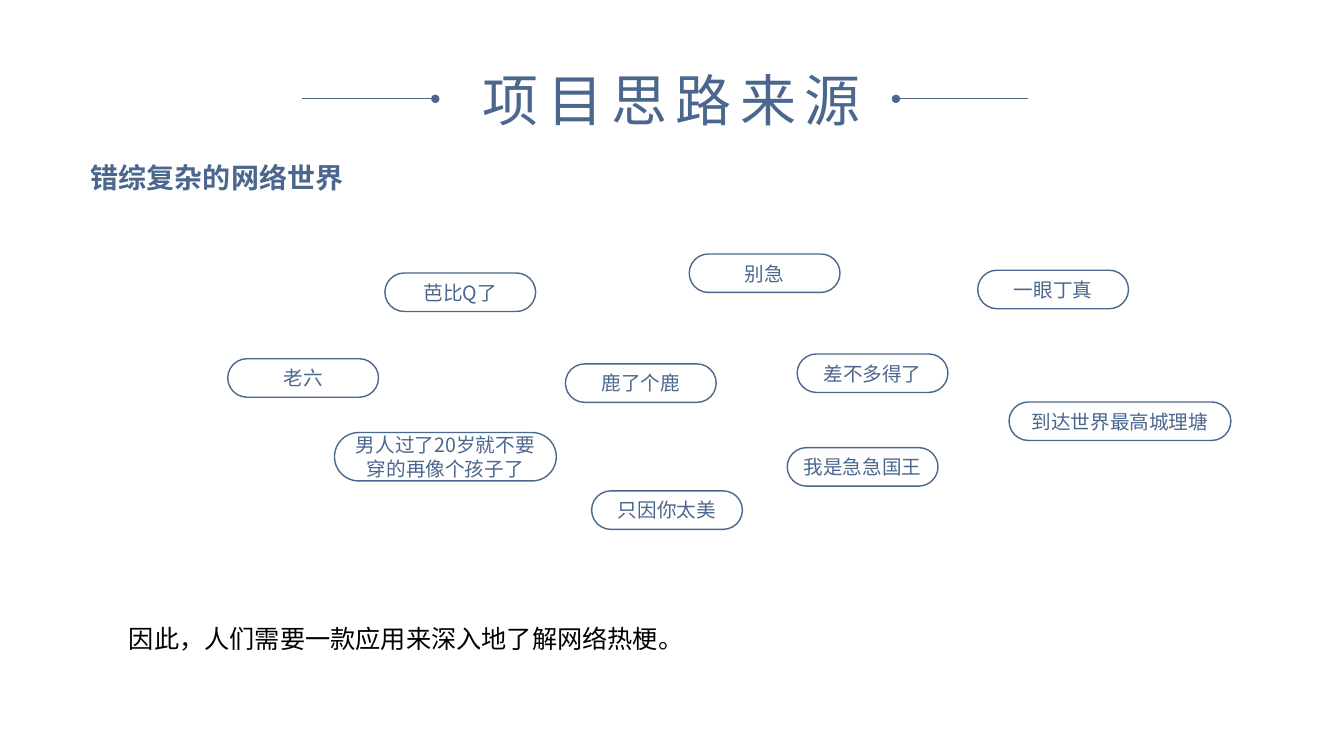
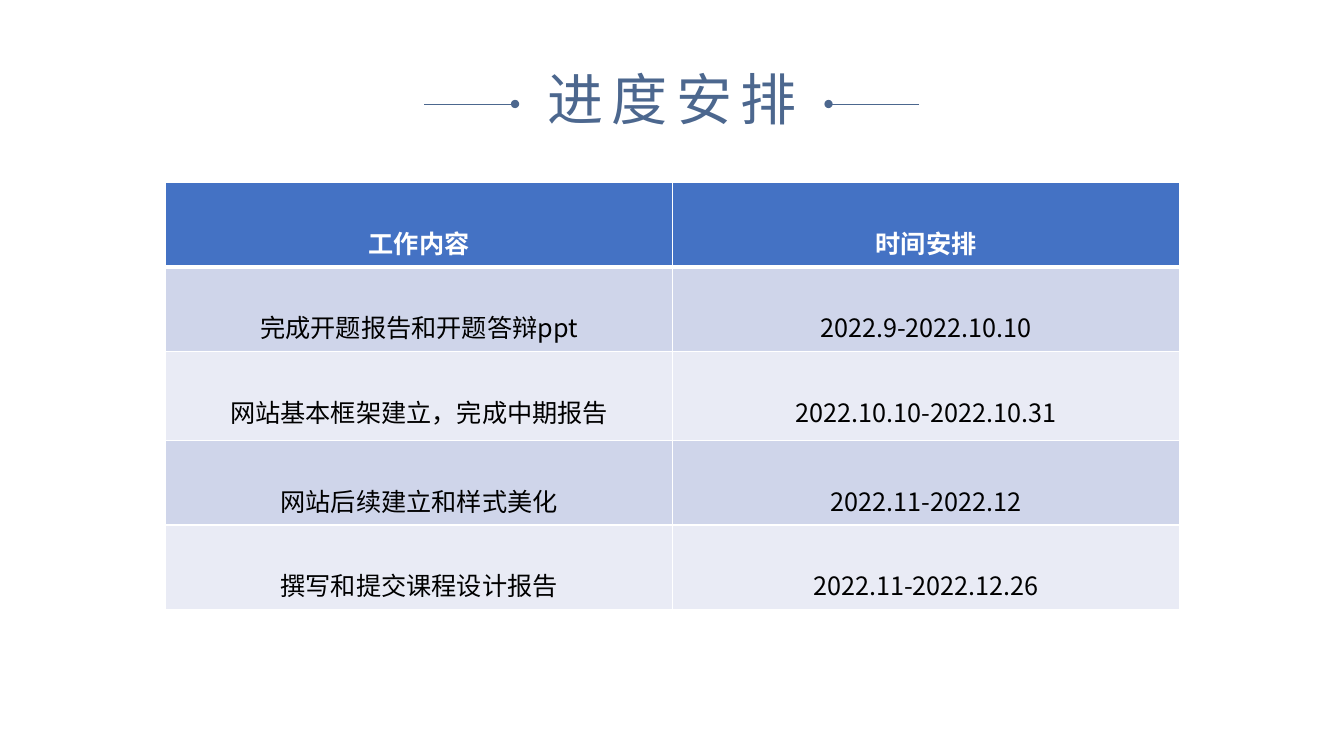
import dataclasses

import lxml.etree
import pptx
import pptx.dml.color
import pptx.enum.shapes
import pptx.enum.text
import pptx.oxml.ns
import pptx.util

Cm, Pt = pptx.util.Cm, pptx.util.Pt
Color = pptx.dml.color.RGBColor.from_string
Align, Anchor = pptx.enum.text.PP_ALIGN, pptx.enum.text.MSO_ANCHOR
qn = pptx.oxml.ns.qn


@dataclasses.dataclass(frozen=True)
class Theme:
    font: str = "Noto Sans CJK SC"
    accent: str = "4C678E"
    white: str = "FFFFFF"
    black: str = "000000"
    header: str = "4472C4"
    bands: tuple = ("CFD5EA", "E9EBF5")
    title_size: int = 40
    heading_size: int = 20
    body_size: int = 18
    pill_size: int = 14


theme = Theme()


def write(frame, text, size, color, align, bold=False, spacing=None, tracking=None):
    """Put one styled run in a text frame."""
    frame.word_wrap = True
    para = frame.paragraphs[0]
    para.alignment = align
    if spacing:
        para.line_spacing = spacing
    span = para.add_run()
    span.text = text
    span.font.size = Pt(size)
    span.font.bold = bold
    span.font.color.rgb = Color(color)
    span.font.name = theme.font
    properties = span.font._element
    lxml.etree.SubElement(properties, qn("a:ea"), typeface=theme.font)
    if tracking:
        properties.set("spc", str(tracking * 100))


def add_text(page, left, top, width, height, *style, inset=None, **options):
    """Add a text box that grows with its text."""
    box = page.shapes.add_textbox(Cm(left), Cm(top), Cm(width), Cm(height))
    frame = box.text_frame
    frame.auto_size = pptx.enum.text.MSO_AUTO_SIZE.SHAPE_TO_FIT_TEXT
    if inset is not None:
        frame.margin_left = frame.margin_right = Cm(inset)
        frame.margin_top = frame.margin_bottom = Cm(inset)
    write(frame, *style, **options)


deck = pptx.Presentation()
deck.slide_width, deck.slide_height = Cm(33.87), Cm(19.05)

# Titles, each between two rules that end in a dot
titles = [
    ("项目思路来源", (11.61, 1.52, 10.64, 1.96), 2.49, [(7.62, 10.97), (25.91, 22.58)]),
    ("进度安排", (13.11, 1.5, 7.65, 1.96), 2.62, [(10.69, 12.98), (23.16, 20.88)]),
]
pages = []
for title, place, rule_y, rules in titles:
    page = deck.slides.add_slide(deck.slide_layouts[6])
    pages.append(page)
    add_text(page, *place, title, theme.title_size, theme.accent, Align.CENTER, tracking=6)
    group = page.shapes.add_group_shape()
    for start, end in rules:
        rule = group.shapes.add_connector(
            pptx.enum.shapes.MSO_CONNECTOR.STRAIGHT, Cm(start), Cm(rule_y), Cm(end), Cm(rule_y))
        rule.line.color.rgb = Color(theme.accent)
        rule.line.width = Pt(0.5)
        lxml.etree.SubElement(rule.line._get_or_add_ln(), qn("a:tailEnd"), type="oval")
        lxml.etree.SubElement(rule._element.spPr, qn("a:effectLst"))
ideas_page, schedule_page = pages

# Ideas: heading, phrase pills and conclusion
add_text(ideas_page, 2.29, 3.61, 6.65, 1.14, "错综复杂的网络世界", theme.heading_size,
         theme.accent, Align.JUSTIFY, inset=0, bold=True, spacing=1.5)

small, wide, tall = (3.8, 0.97), (5.59, 0.97), (5.59, 1.22)
pills = [
    ("芭比Q了", 9.7, 6.88, small),
    ("老六", 5.74, 9.04, small),
    ("男人过了20岁就不要穿的再像个孩子了", 8.43, 10.9, tall),
    ("鹿了个鹿", 14.25, 9.17, small),
    ("只因你太美", 14.91, 12.37, small),
    ("别急", 17.37, 6.4, small),
    ("差不多得了", 20.09, 8.92, small),
    ("我是急急国王", 19.84, 11.28, small),
    ("到达世界最高城理塘", 25.43, 10.13, wide),
    ("一眼丁真", 24.64, 6.81, small),
]
for phrase, left, top, (width, height) in pills:
    pill = ideas_page.shapes.add_shape(
        pptx.enum.shapes.MSO_SHAPE.ROUNDED_RECTANGLE, Cm(left), Cm(top), Cm(width), Cm(height))
    pill.adjustments[0] = 0.5
    pill.shadow.inherit = False
    pill.fill.solid()
    pill.fill.fore_color.rgb = Color(theme.white)
    pill.line.color.rgb = Color(theme.accent)
    pill.line.width = Pt(1)
    pill.text_frame.vertical_anchor = Anchor.MIDDLE
    write(pill.text_frame, phrase, theme.pill_size, theme.accent, Align.CENTER)

add_text(ideas_page, 3, 15.57, 15.42, 1.02, "因此，人们需要一款应用来深入地了解网络热梗。",
         theme.body_size, theme.black, Align.LEFT)

# Schedule table
schedule = [
    ("工作内容", "时间安排"),
    ("完成开题报告和开题答辩ppt", "2022.9-2022.10.10"),
    ("网站基本框架建立，完成中期报告", "2022.10.10-2022.10.31"),
    ("网站后续建立和样式美化", "2022.11-2022.12"),
    ("撰写和提交课程设计报告", "2022.11-2022.12.26"),
]
row_heights = [2.13, 2.13, 2.24, 2.13, 2.13]
table = schedule_page.shapes.add_table(
    len(schedule), 2, Cm(4.17), Cm(4.6), Cm(25.56), Cm(sum(row_heights))).table
for column in table.columns:
    column.width = Cm(12.78)
for row_index, (entries, row_height) in enumerate(zip(schedule, row_heights)):
    table.rows[row_index].height = Cm(row_height)
    is_header = row_index == 0
    fill = theme.header if is_header else theme.bands[(row_index - 1) % 2]
    color = theme.white if is_header else theme.black
    for column_index, entry in enumerate(entries):
        cell = table.cell(row_index, column_index)
        write(cell.text_frame, entry, theme.body_size, color, Align.CENTER,
              bold=is_header, spacing=2.0)
        properties = cell._tc.get_or_add_tcPr()
        for side in "LRTB":
            # The line below the header is heavier
            heavy = (row_index, side) in [(0, "B"), (1, "T")]
            border = lxml.etree.SubElement(
                properties, qn(f"a:ln{side}"), w=str(Pt(3 if heavy else 1)))
            paint = lxml.etree.SubElement(border, qn("a:solidFill"))
            lxml.etree.SubElement(paint, qn("a:srgbClr"), val=theme.white)
        cell.fill.solid()
        cell.fill.fore_color.rgb = Color(fill)

deck.save("out.pptx")
